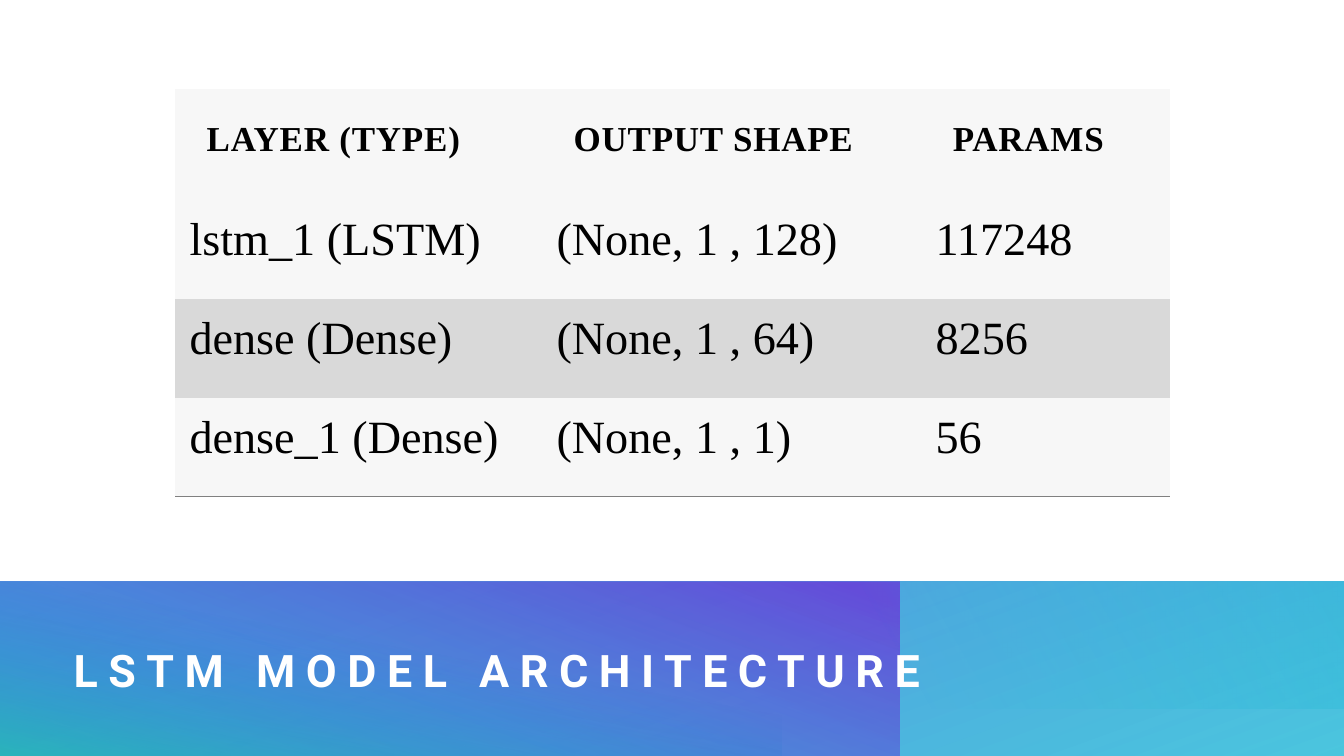
from lxml import etree
from pptx import Presentation
from pptx.dml.color import RGBColor
from pptx.enum.shapes import MSO_SHAPE as Preset
from pptx.enum.text import MSO_ANCHOR as Anchor, MSO_AUTO_SIZE as AutoSize, PP_ALIGN as Align
from pptx.oxml import parse_xml
from pptx.oxml.ns import nsdecls, qn
from pptx.util import Inches, Pt

WHITE = RGBColor(0xFF, 0xFF, 0xFF)
BLACK = RGBColor(0, 0, 0)
PALE = RGBColor(0xF7, 0xF7, 0xF7)
SILVER = RGBColor(0xD9, 0xD9, 0xD9)
GRAY = RGBColor(0x80, 0x80, 0x80)
CYAN = RGBColor(0x26, 0xBB, 0xD8)
BLUE = RGBColor(0x17, 0x67, 0xD5)
PURPLE = RGBColor(0x6F, 0x25, 0xD7)
GREEN = RGBColor(0x15, 0xC3, 0x97)

TITLE = "LSTM MODEL ARCHITECTURE"
ROWS = [
    ("LAYER (TYPE)", "OUTPUT SHAPE", "PARAMS"),
    ("lstm_1 (LSTM)", "(None, 1 , 128)", "117248"),
    ("dense (Dense)", "(None, 1 , 64)", "8256"),
    ("dense_1 (Dense)", "(None, 1 , 1)", "56"),
]
ROW_FILLS = [PALE, PALE, SILVER, PALE]
COLUMN_WIDTHS = [3.64, 3.76, 2.46]
ROW_HEIGHTS = [1.11, 0.98, 0.98, 0.98]
TABLE_LEFT, TABLE_TOP = 1.74, 0.88
PLAIN_TABLE = "{2D5ABB26-0587-4C30-8999-92F81FD0307C}"

HEADER_FONT = {"name": "Times New Roman", "size": Pt(25), "bold": True}
BODY_FONT = {"name": "Times New Roman", "size": Pt(33), "bold": False}
TITLE_FONT = {"name": "Roboto", "size": Pt(32), "bold": True}
HEADER_MARGINS = dict.fromkeys(
    ("margin_left", "margin_top", "margin_right", "margin_bottom"), Inches(0.31))
BODY_MARGINS = {"margin_left": Inches(0.14), "margin_top": Inches(0.14),
                "margin_right": Inches(0.14), "margin_bottom": Inches(0.21)}
TITLE_FRAME = {"margin_left": 0, "margin_top": 0, "margin_right": 0, "margin_bottom": 0,
               "word_wrap": True, "auto_size": AutoSize.NONE,
               "vertical_anchor": Anchor.MIDDLE}

BAND_TOP, BAND_HEIGHT = 5.77, 1.76
BANDS = [
    {"left": 0, "width": 13.34, "height": BAND_HEIGHT, "turn": 0, "flip": False,
     "angle": 250, "stops": [(0, CYAN, 83), (100, BLUE, 74)]},
    {"left": 0, "width": 8.92, "height": BAND_HEIGHT, "turn": 90, "flip": True,
     "angle": 160, "stops": [(5, PURPLE, 68), (100, CYAN, 43)]},
    {"left": 0, "width": 7.75, "height": BAND_HEIGHT, "turn": 270, "flip": False,
     "angle": 190, "stops": [(42, BLUE, 0), (99, GREEN, 48)]},
    {"left": 5.39, "width": 7.96, "height": 1.26, "turn": 180, "flip": False,
     "angle": 330, "stops": [(0, CYAN, 37), (56, CYAN, 0)]},
]


def apply(target, values):
    for name, value in values.items():
        setattr(target, name, value)


def write(frame, text, font, color, spacing):
    para = frame.paragraphs[0]
    para.alignment = Align.LEFT
    span = para.add_run()
    span.text = text
    apply(span.font, font)
    span.font.color.rgb = color
    span.font._element.set("spc", str(round(spacing * 100)))


def add_band(page, band):
    width, height = band["width"], band["height"]
    center_x = band["left"] + width / 2
    center_y = BAND_TOP + height / 2
    if band["turn"] % 180:
        width, height = height, width
    shape = page.shapes.add_shape(
        Preset.RECTANGLE, Inches(center_x - width / 2), Inches(center_y - height / 2),
        Inches(width), Inches(height))
    shape.rotation = band["turn"]
    shape.shadow.inherit = False
    shape.line.fill.background()
    properties = shape._element.spPr
    if band["flip"]:
        properties.find(qn("a:xfrm")).set("flipH", "1")
    stops = "".join(
        f'<a:gs pos="{place * 1000}"><a:srgbClr val="{color}">'
        f'<a:alpha val="{opacity * 1000}"/></a:srgbClr></a:gs>'
        for place, color, opacity in band["stops"])
    gradient = parse_xml(
        f'<a:gradFill {nsdecls("a")} rotWithShape="1"><a:gsLst>{stops}</a:gsLst>'
        f'<a:lin ang="{band["angle"] * 60000}" scaled="0"/></a:gradFill>')
    properties.find(qn("a:prstGeom")).addnext(gradient)


def add_bottom_border(cell):
    border = etree.Element(qn("a:lnB"), w=str(Pt(1)))
    fill = etree.SubElement(border, qn("a:solidFill"))
    etree.SubElement(fill, qn("a:srgbClr"), val=str(GRAY))
    cell._tc.get_or_add_tcPr().insert(0, border)


def add_layer_table(page):
    frame = page.shapes.add_table(
        len(ROWS), len(COLUMN_WIDTHS), Inches(TABLE_LEFT), Inches(TABLE_TOP),
        Inches(sum(COLUMN_WIDTHS)), Inches(sum(ROW_HEIGHTS)))
    table = frame.table
    apply(table, {"first_row": False, "horz_banding": False})
    table._tbl.tblPr.find(qn("a:tableStyleId")).text = PLAIN_TABLE
    for column, width in zip(table.columns, COLUMN_WIDTHS):
        column.width = Inches(width)
    for index, (texts, height, color) in enumerate(zip(ROWS, ROW_HEIGHTS, ROW_FILLS)):
        table.rows[index].height = Inches(height)
        header = index == 0
        for cell, text in zip(table.rows[index].cells, texts):
            apply(cell, HEADER_MARGINS if header else BODY_MARGINS)
            cell.fill.solid()
            cell.fill.fore_color.rgb = color
            write(cell.text_frame, text, HEADER_FONT if header else BODY_FONT,
                  BLACK, 0.6 if header else 0)
            if index == len(ROWS) - 1:
                add_bottom_border(cell)


def add_title(page):
    title = page.shapes.title
    apply(title, {"left": Inches(0.73), "top": Inches(6.07),
                  "width": Inches(9.26), "height": Inches(1.15)})
    apply(title.text_frame, TITLE_FRAME)
    write(title.text_frame, TITLE, TITLE_FONT, WHITE, 7.5)
    page.shapes._spTree.append(title._element)


def main():
    deck = Presentation()
    apply(deck, {"slide_width": Inches(13.33), "slide_height": Inches(7.5)})
    page = deck.slides.add_slide(deck.slide_layouts[5])
    page.background.fill.solid()
    page.background.fill.fore_color.rgb = WHITE
    for band in BANDS:
        add_band(page, band)
    add_title(page)
    add_layer_table(page)
    deck.save("out.pptx")


if __name__ == "__main__":
    main()
